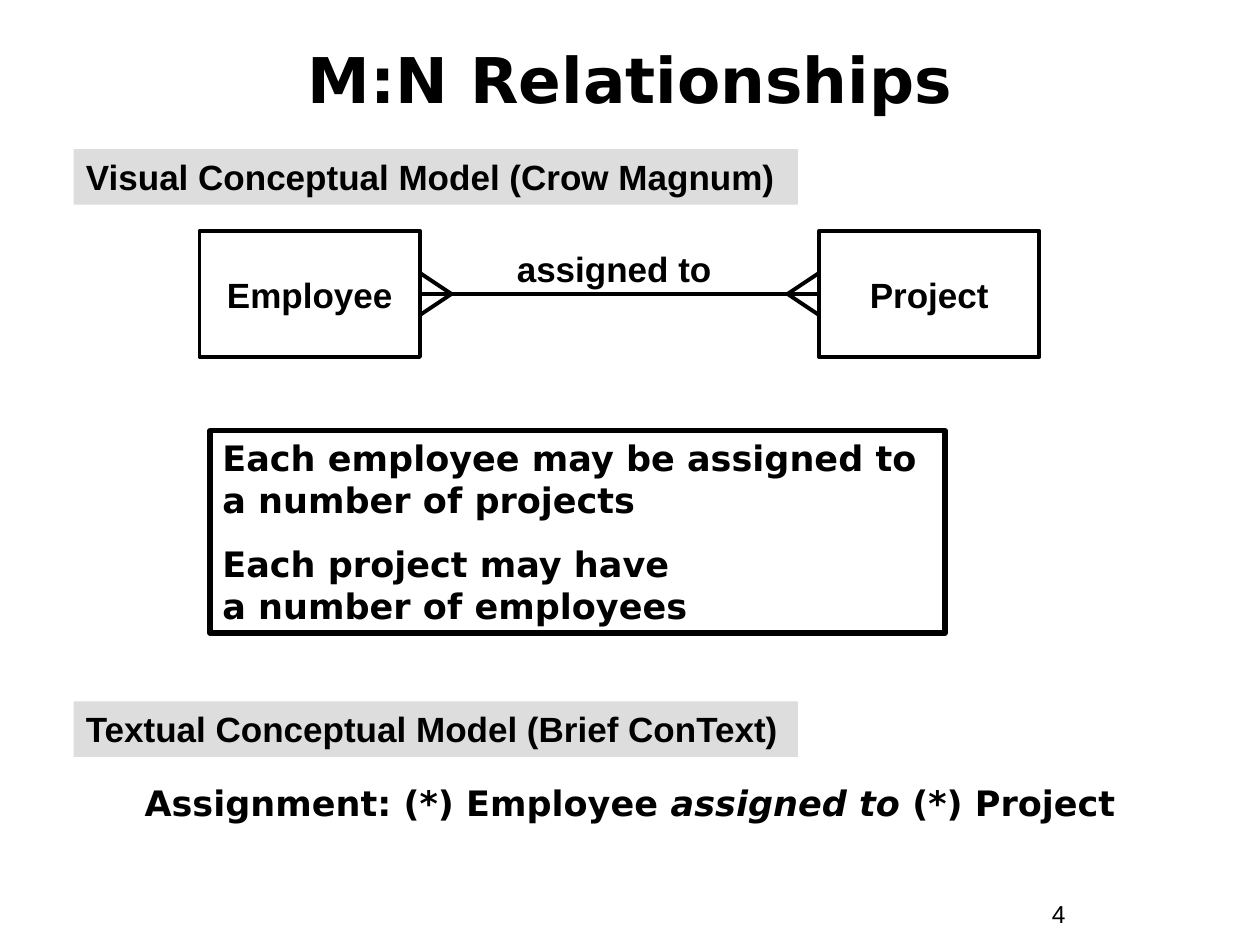
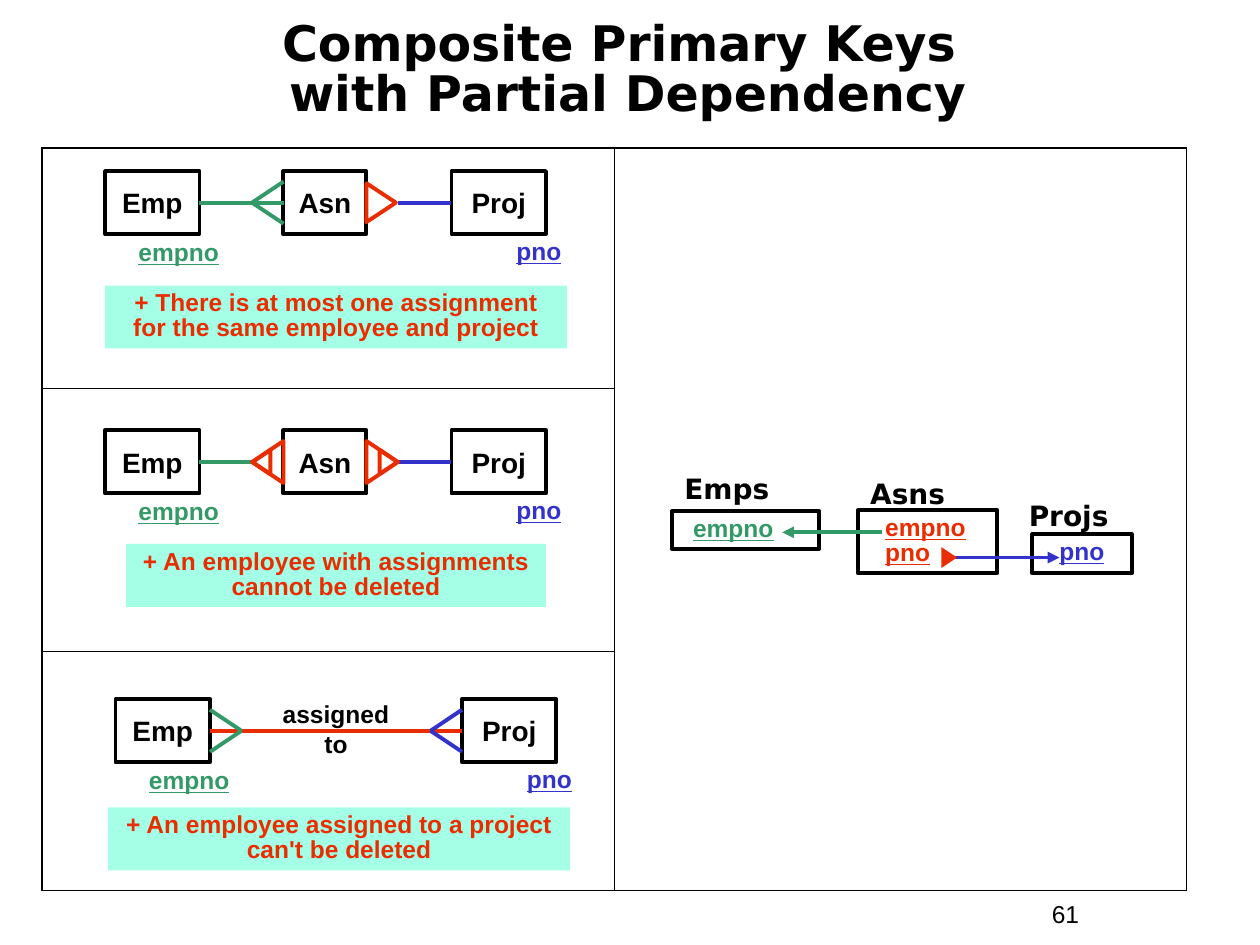
import pptx
import pptx.util
import pptx.dml.color
import pptx.enum.shapes
import pptx.enum.text
import pptx.oxml
import pptx.oxml.ns
from lxml import etree

RGB = pptx.dml.color.RGBColor
BLACK = RGB(0x00, 0x00, 0x00)
GREY = RGB(0xDD, 0xDD, 0xDD)
GREEN = RGB(0x33, 0x99, 0x66)
BLUE = RGB(0x33, 0x33, 0xCC)
RED = RGB(0xEA, 0x2D, 0x00)
MINT = RGB(0xA5, 0xFF, 0xE7)

SHAPE = pptx.enum.shapes.MSO_SHAPE
LINE = pptx.enum.shapes.MSO_CONNECTOR.STRAIGHT
MIDDLE = pptx.enum.text.MSO_ANCHOR.MIDDLE
CENTER = pptx.enum.text.PP_ALIGN.CENTER
LEFT = pptx.enum.text.PP_ALIGN.LEFT
Pt = pptx.util.Pt
WIDE, HIGH = pptx.util.Inches(10), pptx.util.Inches(7.5)
COLS, ROWS = 120, 90
STROKE = 2.25
RIGHT_SIDE, LEFT_SIDE = 3, 1

SANS, ARIAL = "DejaVu Sans", "Arial"


def face(name, size, bold=True, underline=None):
    return {"name": name, "size": Pt(size), "bold": bold, "underline": underline}


TITLE = face(SANS, 36)
SMALL = face(SANS, 28)
BODY = face(SANS, 20)
HEAD = face(ARIAL, 20)
NAME = face(SANS, 16)
UNIT = face(ARIAL, 16)
NOTE = face(ARIAL, 14)
KEY = face(ARIAL, 14, underline=True)
PLAIN = face(ARIAL, 14, bold=False)


def col(n):
    return round(WIDE * n / COLS)


def row(n):
    return round(HIGH * n / ROWS)


def place(x, y, w, h):
    return col(x), row(y), col(w), row(h)


def tag(name):
    return pptx.oxml.ns.qn("a:" + name)


def write(shape, text, font, color=BLACK, align=LEFT, anchor=None,
          wrap=True, indent=0, lead=None, gap=0):
    frame = shape.text_frame
    layout = {
        "word_wrap": wrap,
        "vertical_anchor": anchor or pptx.enum.text.MSO_ANCHOR.TOP,
        "margin_left": col(1.2 + indent), "margin_right": col(1.2),
        "margin_top": row(0.6), "margin_bottom": row(0.6),
    }
    for key, value in layout.items():
        setattr(frame, key, value)
    for index, lines in enumerate(text):
        para = frame.add_paragraph() if index else frame.paragraphs[0]
        style = {"alignment": align, "line_spacing": lead,
                 "space_before": Pt(gap if index else 0)}
        for key, value in style.items():
            setattr(para, key, value)
        for turn, part in enumerate(lines.split("_")):
            for count, words in enumerate(part.split("\n")):
                if count:
                    para.add_line_break()
                run = para.add_run()
                run.text = words
                for key, value in dict(font, italic=turn % 2 == 1).items():
                    setattr(run.font, key, value)
                run.font.color.rgb = color


def label(slide, at, text, font, **style):
    write(slide.shapes.add_textbox(*place(*at)), text, font, **style)


def solid(slide, kind, at, fill=None, edge=None, width=STROKE):
    shape = slide.shapes.add_shape(kind, *place(*at))
    shape.shadow.inherit = False
    if fill is None:
        shape.fill.background()
    else:
        shape.fill.solid()
        shape.fill.fore_color.rgb = fill
    if edge is None:
        shape.line.fill.background()
    else:
        shape.line.color.rgb = edge
        shape.line.width = Pt(width)
    return shape


def entity(slide, at, name, font=UNIT):
    box = solid(slide, SHAPE.RECTANGLE, at, edge=BLACK)
    write(box, [name], font, align=CENTER, anchor=MIDDLE, wrap=False)
    return box


def band(slide, y, text):
    box = solid(slide, SHAPE.RECTANGLE, (7, y, 69, 5.3), fill=GREY)
    write(box, [text], HEAD)


def note(slide, at, text):
    box = solid(slide, SHAPE.RECTANGLE, at, fill=MINT)
    write(box, [text], NOTE, color=RED, align=CENTER, lead=0.85)


def link(slide, start, end, color, arrow=False):
    line = slide.shapes.add_connector(
        LINE, col(start[0]), row(start[1]), col(end[0]), row(end[1]))
    line.line.color.rgb = color
    line.line.width = Pt(STROKE)
    if arrow:
        ln = line._element.spPr.find(tag("ln"))
        etree.SubElement(ln, tag("tailEnd"), type="triangle")
    etree.SubElement(line._element.spPr, tag("effectLst"))
    return line


def join(slide, first, last, color):
    line = link(slide, (0, 0), (1, 1), color)
    line.begin_connect(first, RIGHT_SIDE)
    line.end_connect(last, LEFT_SIDE)


def reach(slide, box, side, tip, color):
    link(slide, (0, 0), tip, color).begin_connect(box, side)


def crow(slide, tip, reach_x, color):
    x, y = tip
    for rise in (-2, 2):
        link(slide, tip, (x + reach_x, y + rise), color)


def wedge(slide, mid, size, turn, fill=None, edge=RED):
    (x, y), (w, h) = mid, size
    shape = solid(slide, SHAPE.ISOSCELES_TRIANGLE,
                  (x - w / 2, y - h / 2, w, h), fill, edge)
    shape.rotation = turn


def pair(slide, x, y):
    emp = entity(slide, (x, y, 9, 6), "Emp")
    proj = entity(slide, (x + 33, y, 9, 6), "Proj")
    label(slide, (x + 2, y + 6, 14, 3.7), ["empno"], KEY, color=GREEN, lead=0.9)
    label(slide, (x + 38, y + 5.9, 9, 3.7), ["pno"], KEY, color=BLUE, lead=0.9)
    return emp, proj


def trio(slide, x, y):
    emp, proj = pair(slide, x, y)
    return emp, entity(slide, (x + 17, y, 7.9, 6), "Asn"), proj


def record(slide, at, name, keys, color, rise, indent=1.4, shift=0):
    x, y, w, h = at
    label(slide, (x + shift, y - rise, 14, 4.4), [name], NAME)
    box = solid(slide, SHAPE.RECTANGLE, at, edge=BLACK)
    write(box, keys, KEY, color=color, indent=indent, lead=0.85)


def rule(cell, side, width):
    ln = etree.SubElement(cell._tc.get_or_add_tcPr(), tag("ln" + side),
                          w=str(Pt(width)))
    paint = etree.SubElement(ln, tag("solidFill"))
    etree.SubElement(paint, tag("srgbClr"), val=str(BLACK))


def panel(slide):
    heights = (22.9, 25, 22.8)
    grid = slide.shapes.add_table(3, 2, *place(4, 14.1, 109, sum(heights))).table
    grid.first_row = grid.horz_banding = False
    for column in grid.columns:
        column.width = col(54.5)
    for line, height in zip(grid.rows, heights):
        line.height = row(height)
    grid.cell(0, 1).merge(grid.cell(2, 1))
    for r in range(3):
        for c in range(2):
            cell = grid.cell(r, c)
            outer = {"L": c == 0, "R": c == 1, "T": r == 0,
                     "B": r == 2 or c == 1}
            for side, edge in outer.items():
                if c == 0 or edge and (side != "B" or r != 1) or side == "L":
                    rule(cell, side, 1.08 if edge else 0.45)
            cell.fill.background()


def start(deck, at, title, font, number, lead=None):
    slide = deck.slides.add_slide(deck.slide_layouts[6])
    label(slide, at, [title], font, align=CENTER, anchor=MIDDLE, lead=lead)
    label(slide, (99, 85, 11, 4.1), [number], PLAIN)
    return slide


def many(deck):
    slide = start(deck, (4, 2, 112, 11), "M:N Relationships", TITLE, "4")
    staff = entity(slide, (19, 22, 21, 12), "Employee", HEAD)
    work = entity(slide, (78, 22, 21, 12), "Project", HEAD)
    join(slide, staff, work, BLACK)
    crow(slide, (75, 28), 3, BLACK)
    crow(slide, (43, 28), -3, BLACK)
    label(slide, (46, 23, 25, 5.3), ["assigned to"], HEAD, align=CENTER)
    label(slide, (11, 73.8, 98, 5.3),
          ["Assignment: (*) Employee _assigned to_ (*) Project"],
          BODY, align=CENTER)
    band(slide, 14.2, "Visual Conceptual Model (Crow Magnum)")
    band(slide, 66.8, "Textual Conceptual Model (Brief ConText)")
    facts = solid(slide, SHAPE.RECTANGLE, (20, 41, 70, 19.3), edge=BLACK, width=3)
    write(facts, ["Each employee may be assigned to a number of projects",
                  "Each project may have \na number of employees"],
          BODY, gap=12.5)


def partial(deck):
    slide = start(deck, (3.5, 1.3, 112.5, 11),
                  "Composite Primary Keys \nwith Partial Dependency",
                  SMALL, "61", lead=0.85)

    record(slide, (64, 48.7, 14, 3.6), "Emps", ["empno"], GREEN, 4.4, indent=0.8)
    record(slide, (81.7, 48.6, 13.3, 6), "Asns", ["empno", "pno"], RED, 3.8)
    record(slide, (98.3, 50.9, 9.5, 3.7), "Projs", ["pno"], BLUE, 4, shift=-1.5)
    link(slide, (84, 50.7), (74.5, 50.7), GREEN, arrow=True)
    link(slide, (90.4, 53.1), (100.9, 53.1), BLUE, arrow=True)
    wedge(slide, (90.4, 53.1), (2, 1.5), 90, fill=RED, edge=None)

    emp, asn, proj = trio(slide, 10, 16.3)
    join(slide, emp, asn, GREEN)
    crow(slide, (24, 19.3), 3, GREEN)
    reach(slide, proj, LEFT_SIDE, (37.9, 19.3), BLUE)
    wedge(slide, (36.3, 19.3), (3.7, 2.8), 90)

    emp, asn, proj = trio(slide, 10, 41)
    reach(slide, emp, RIGHT_SIDE, (24, 44), GREEN)
    reach(slide, proj, LEFT_SIDE, (38, 44), BLUE)
    for turn, outer, inner in ((270, 25.5, 24.9), (90, 36.4, 37)):
        wedge(slide, (outer, 44), (4, 3), turn)
        wedge(slide, (inner, 44), (2.3, 1.7), turn)

    emp, proj = pair(slide, 11, 66.6)
    join(slide, emp, proj, RED)
    crow(slide, (41, 69.6), 3, BLUE)
    crow(slide, (23, 69.6), -3, GREEN)
    label(slide, (17, 66, 30, 6.8), ["assigned", "to"], NOTE, align=CENTER)

    note(slide, (10, 27.2, 44, 6),
         "+ There is at most one assignment for the same employee and project")
    note(slide, (12, 51.8, 40, 6),
         "+ An employee with assignments cannot be deleted")
    note(slide, (10.3, 76.9, 44, 6),
         "+ An employee assigned to a project can't be deleted")
    panel(slide)


def main():
    deck = pptx.Presentation()
    deck.slide_width, deck.slide_height = WIDE, HIGH
    many(deck)
    partial(deck)
    deck.save("out.pptx")


if __name__ == "__main__":
    main()
